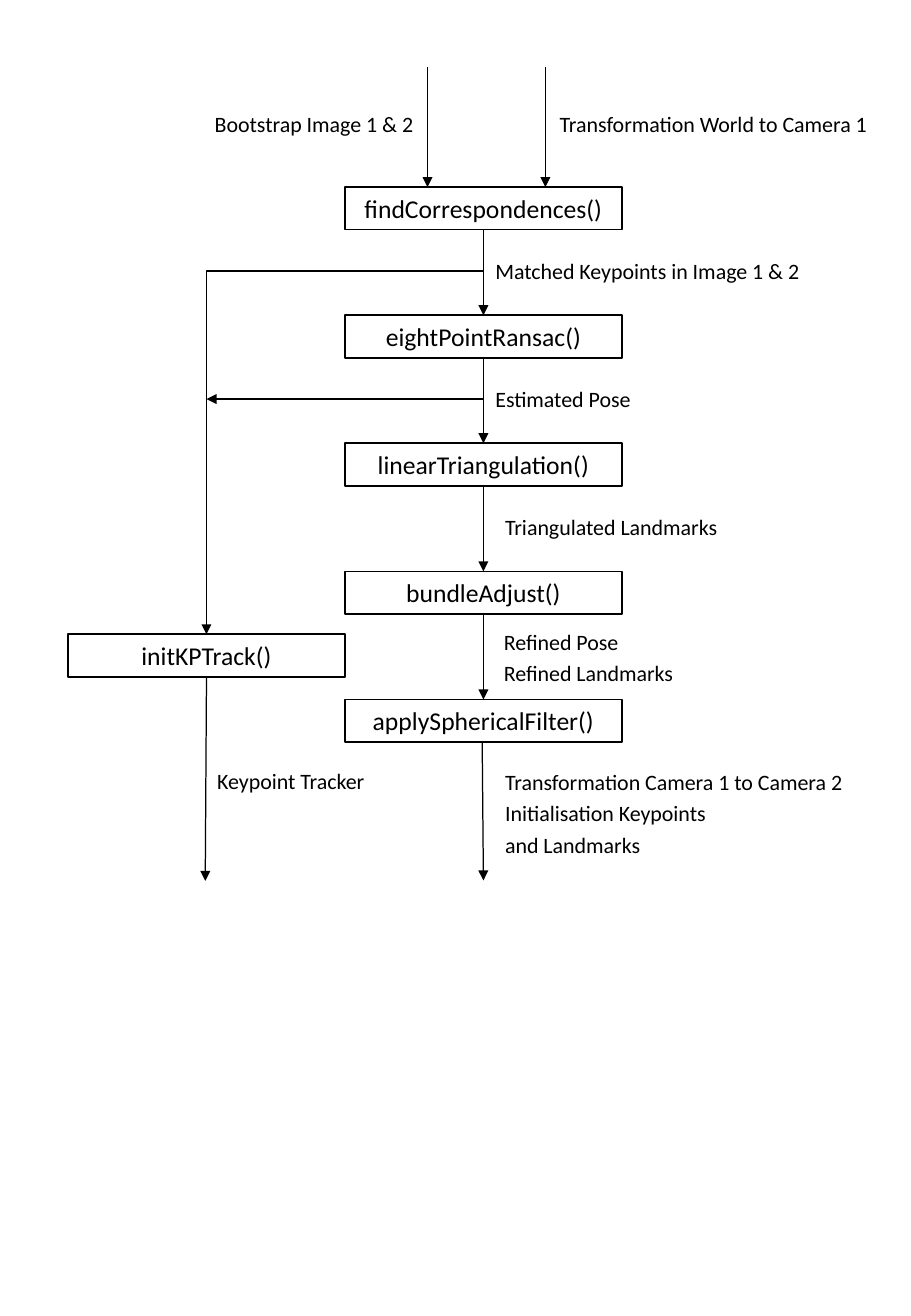
import pptx
import pptx.util
import pptx.dml.color
import pptx.enum.shapes
import pptx.enum.text
import pptx.oxml.ns
import lxml.etree

Inches, Pt = pptx.util.Inches, pptx.util.Pt
ALIGN = pptx.enum.text.PP_ALIGN
LINK = pptx.enum.shapes.MSO_CONNECTOR
COLORS = {"ink": "000000"}
FONT = "Calibri"
BOX_W, BOX_H = 2.28, 0.35
STEP = 1.054  # distance from one box of the main chain to the next
INK = pptx.dml.color.RGBColor.from_string(COLORS["ink"])


def write(frame, text, size=13, align=ALIGN.LEFT, after=0):
    """Fill a text frame, one paragraph for each line."""
    for i, line in enumerate(text.split("\n")):
        para = frame.paragraphs[0] if i == 0 else frame.add_paragraph()
        para.alignment = align
        para.space_after = Pt(after)
        run = para.add_run()
        run.text = line
        run.font.size = Pt(size)
        run.font.name = FONT
        run.font.color.rgb = INK


def add_box(slide, x, y, text):
    box = slide.shapes.add_shape(
        pptx.enum.shapes.MSO_SHAPE.RECTANGLE,
        Inches(x), Inches(y), Inches(BOX_W), Inches(BOX_H))
    box.shadow.inherit = False
    box.fill.background()
    box.line.color.rgb = INK
    box.line.width = Pt(1)
    frame = box.text_frame
    frame.word_wrap = True
    frame.vertical_anchor = pptx.enum.text.MSO_ANCHOR.MIDDLE
    frame.margin_left = frame.margin_right = Inches(0.14)
    frame.margin_top = frame.margin_bottom = Inches(0.07)
    write(frame, text, size=15.2, align=ALIGN.CENTER)


def add_label(slide, x, y, w, text, h=0.32, **form):
    label = slide.shapes.add_textbox(
        Inches(x), Inches(y), Inches(w), Inches(h))
    frame = label.text_frame
    frame.word_wrap = False
    frame.auto_size = pptx.enum.text.MSO_AUTO_SIZE.SHAPE_TO_FIT_TEXT
    write(frame, text, **form)


def add_arrow(slide, x1, y1, x2, y2, bent=False):
    kind = LINK.ELBOW if bent else LINK.STRAIGHT
    arrow = slide.shapes.add_connector(
        kind, Inches(x1), Inches(y1), Inches(x2), Inches(y2))
    arrow.line.color.rgb = INK
    arrow.line.width = Pt(0.75)
    qn = pptx.oxml.ns.qn
    props = arrow._element.spPr
    if bent:  # a single corner
        props.find(qn("a:prstGeom")).set("prst", "bentConnector2")
    lxml.etree.SubElement(
        props.find(qn("a:ln")), qn("a:tailEnd"), type="triangle")
    lxml.etree.SubElement(props, qn("a:effectLst"))


def draw_inputs(slide, x, y):
    """Two arrows that enter the first box, whose corner is x, y."""
    top = y - 0.99
    for dx in (0.68, 1.65):
        add_arrow(slide, x + dx, top, x + dx, y)
    add_label(slide, x - 1.21, top + 0.31, 1.91, "Bootstrap Image 1 & 2 ",
              align=ALIGN.RIGHT)
    add_label(slide, x + 1.67, top + 0.31, 2.77,
              "Transformation World to Camera 1")


def draw_chain(slide, x, y):
    """Main column of functions, with the data passed between them."""
    mid = x + BOX_W / 2
    names = ["findCorrespondences()", "eightPointRansac()",
             "linearTriangulation()", "bundleAdjust()",
             "applySphericalFilter()"]
    for i, name in enumerate(names):
        top = y + i * STEP
        add_box(slide, x, top, name)
        if i:
            add_arrow(slide, mid, top - STEP + BOX_H, mid, top)

    # Data labels: offset from the axis, offset from the box, width, text
    labels = [(0, 0.53, 2.75, "Matched Keypoints in Image 1 & 2"),
              (0, 0.53, 1.34, "Estimated Pose"),
              (0.08, 0.53, 1.98, "Triangulated Landmarks")]
    for i, (dx, dy, w, text) in enumerate(labels):
        add_label(slide, mid + dx, y + i * STEP + dy, w, text)
    add_label(slide, mid + 0.07, y + 3 * STEP + 0.42, 1.62,
              "Refined Pose\nRefined Landmarks", h=0.58, after=3)

    # Result of the last box
    last = y + 4 * STEP
    add_arrow(slide, mid - 0.01, last + BOX_H, mid, last + 1.49)
    add_label(slide, mid + 0.08, last + 0.52, 3.02,
              "Transformation Camera 1 to Camera 2\n"
              "Initialisation Keypoints\nand Landmarks", h=0.84, after=3)


def draw_track(slide, x, y, start, main):
    """Side branch, fed from the axis main at the height start."""
    mid = x + BOX_W / 2
    add_box(slide, x, y, "initKPTrack()")
    add_arrow(slide, main, start, mid, y, bent=True)
    add_arrow(slide, main, start + STEP, mid, start + STEP)
    add_arrow(slide, mid, y + BOX_H, mid - 0.01, y + 2.03)
    add_label(slide, mid - 0.01, y + 1.05, 1.43, "Keypoint Tracker")


def main():
    deck = pptx.Presentation()
    deck.slide_width, deck.slide_height = Inches(7.5), Inches(10.83)
    slide = deck.slides.add_slide(deck.slide_layouts[6])
    left, top = 2.84, 1.54
    draw_inputs(slide, left, top)
    draw_chain(slide, left, top)
    draw_track(slide, left - BOX_W, 5.22, top + 0.69, left + BOX_W / 2)
    deck.save("out.pptx")


if __name__ == "__main__":
    main()
